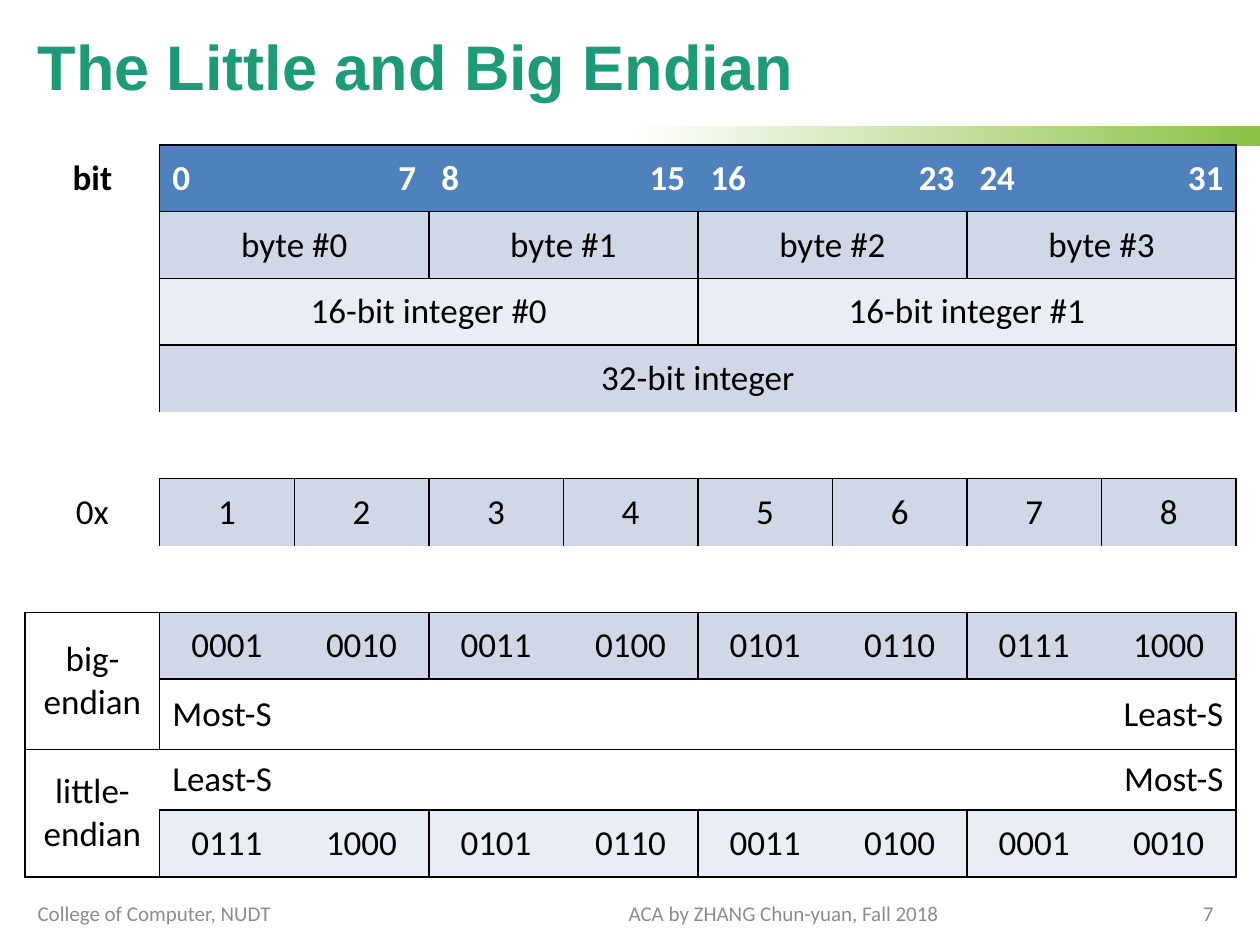
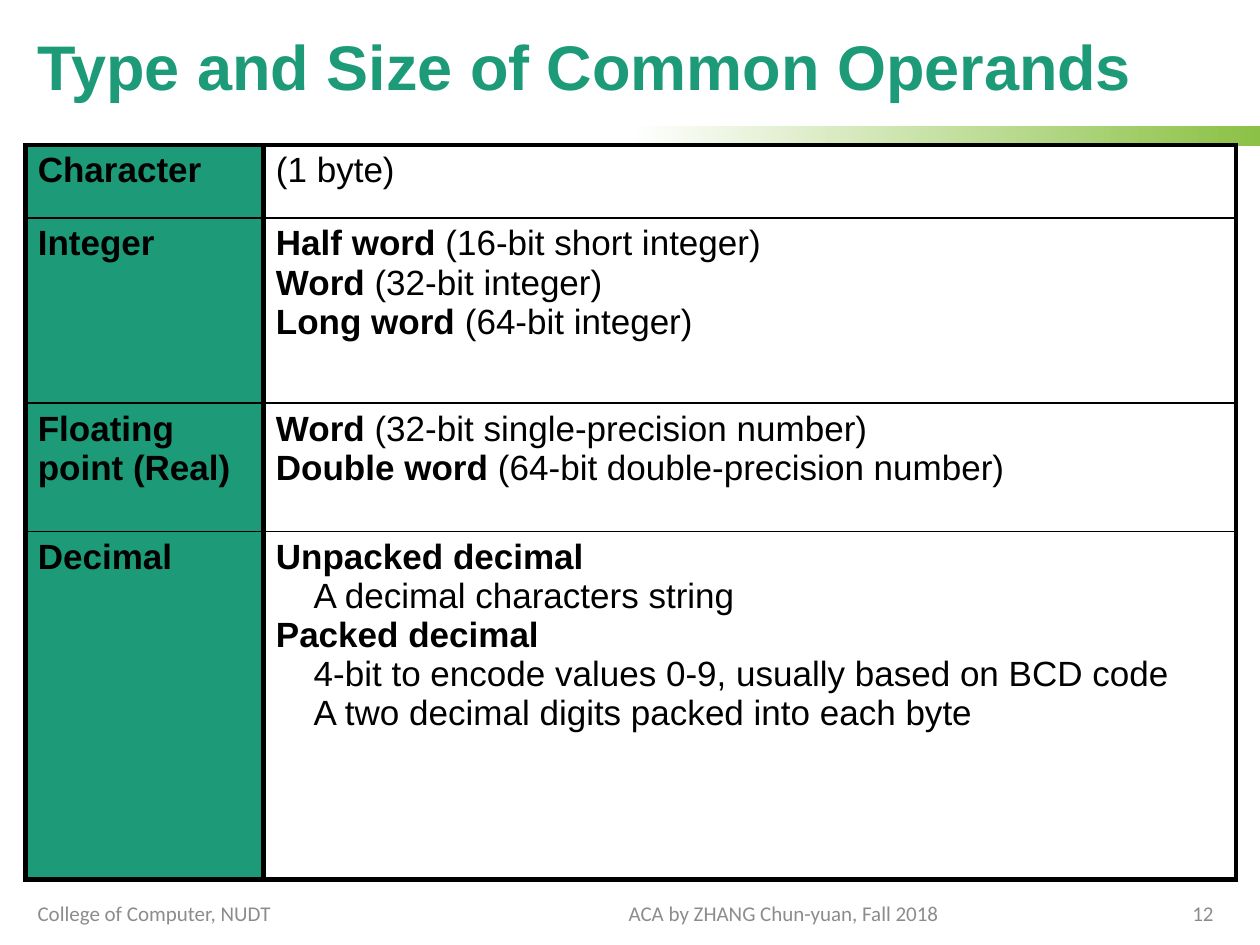
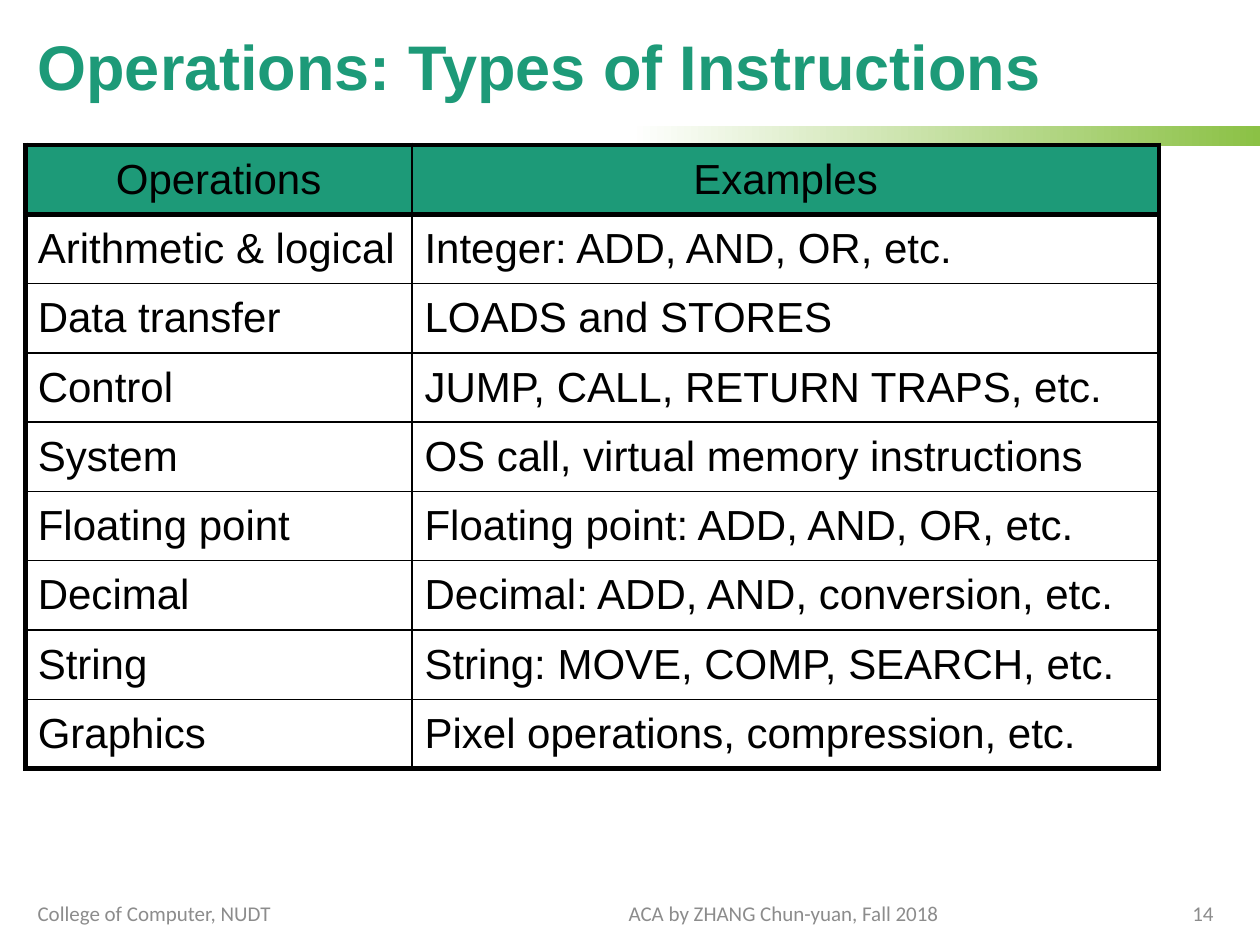
from lxml.etree import SubElement
from pptx import Presentation
from pptx.dml.color import RGBColor
from pptx.enum.shapes import MSO_SHAPE
from pptx.enum.text import MSO_ANCHOR as Anchor, PP_ALIGN as Align
from pptx.oxml.ns import qn
from pptx.util import Inches, Pt

GREEN, LIME, GREY = "1D9A78", "8BC145", "8C8C8C"
BLACK, WHITE, BLUE = "000000", "FFFFFF", "4F81BD"
DARK_BAND, LIGHT_BAND = "D0D8E8", "E9EDF4"
ALIGNS = {"l": Align.LEFT, "c": Align.CENTER, "r": Align.RIGHT}
THIN, THICK = 1, 3
LEFT, TABLE_TOP = 0.2, 1.15

FOOTER = [
    ("College of Computer, NUDT", 0.2, 3.77, "l"),
    ("ACA by ZHANG Chun-yuan, Fall 2018", 3.97, 4.5, "c"),
]

BIG_ENDIAN = [["0001", "0010"], ["0011", "0100"], ["0101", "0110"], ["0111", "1000"]]
ENDIAN_HEIGHTS = [0.53] * 8 + [0.56, 0.48, 0.53]
ENDIAN_ROWS = [
    ("bit", BLUE, "lr", "ltrb", [["0", "7", "8", "15", "16", "23", "24", "31"]]),
    ("", DARK_BAND, "c", "ltrb", [[f"byte #{number}"] for number in range(4)]),
    ("", LIGHT_BAND, "c", "ltrb", [[f"16-bit integer #{number}"] for number in range(2)]),
    ("", DARK_BAND, "c", "ltr", [["32-bit integer"]]),
    None,
    ("0x", DARK_BAND, "c", "ltr", [[digit] for digit in "12345678"]),
    None,
    ("big-endian", DARK_BAND, "c", "ltrb", BIG_ENDIAN),
    (None, WHITE, "lr", "trb", [["Most-S", "Least-S"]]),
    ("little-endian", WHITE, "lr", "trb", [["Least-S", "Most-S"]]),
    (None, LIGHT_BAND, "c", "ltrb", BIG_ENDIAN[::-1]),
]

OPERAND_HEIGHTS = [0.58, 1.47, 1.02, 2.76]
OPERAND_ROWS = [
    ("Character", [("", "(1 byte)")]),
    ("Integer", [
        ("Half word", " (16-bit short integer)"),
        ("Word", " (32-bit integer)"),
        ("Long word", " (64-bit integer)"),
    ]),
    ("Floating point (Real)", [
        ("Word", " (32-bit single-precision number)"),
        ("Double word", " (64-bit double-precision number)"),
    ]),
    ("Decimal", [
        ("Unpacked decimal", ""),
        ("", "A decimal characters string"),
        ("Packed decimal", ""),
        ("", "4-bit to encode values 0-9, usually based on BCD code"),
        ("", "A two decimal digits packed into each byte"),
    ]),
]

INSTRUCTION_ROWS = [
    ("Operations", "Examples"),
    ("Arithmetic & logical", "Integer: ADD, AND, OR, etc."),
    ("Data transfer", "LOADS and STORES"),
    ("Control", "JUMP, CALL, RETURN TRAPS, etc."),
    ("System", "OS call, virtual memory instructions"),
    ("Floating point", "Floating point: ADD, AND, OR, etc."),
    ("Decimal", "Decimal: ADD, AND, conversion, etc."),
    ("String", "String: MOVE, COMP, SEARCH, etc."),
    ("Graphics", "Pixel operations, compression, etc."),
]


def rgb(color):
    return RGBColor.from_string(color)


def add_run(paragraph, text, size, font, color=BLACK, bold=False):
    run = paragraph.add_run()
    run.text = text
    run.font.size, run.font.name, run.font.bold = Pt(size), font, bold
    run.font.color.rgb = rgb(color)


def add_text(slide, text, box, size, font, color, bold=False, align="l"):
    frame = slide.shapes.add_textbox(*map(Inches, box)).text_frame
    frame.word_wrap = True
    frame.vertical_anchor = Anchor.MIDDLE
    paragraph = frame.paragraphs[0]
    paragraph.alignment = ALIGNS[align]
    add_run(paragraph, text, size, font, color, bold)
    return paragraph


def add_slide(presentation, title, number):
    slide = presentation.slides.add_slide(presentation.slide_layouts[6])
    band = slide.shapes.add_shape(
        MSO_SHAPE.RECTANGLE, Inches(5), Inches(1), Inches(5), Inches(0.16))
    band.shadow.inherit = False
    band.line.fill.background()
    band.fill.gradient()
    band.fill.gradient_angle = 0
    for stop, color in zip(band.fill.gradient_stops, (WHITE, LIME)):
        stop.color.rgb = rgb(color)
    heading = add_text(slide, title, (LEFT, 0.13, 9.61, 0.86), 36, "Arial", GREEN, True)
    heading.line_spacing = 0.9
    for text, left, width, align in FOOTER + [(str(number), 8.7, 1.03, "r")]:
        add_text(slide, text, (left, 7.14, width, 0.21), 12, "Calibri", GREY, align=align)
    return slide


def add_table(slide, widths, heights):
    table = slide.shapes.add_table(
        len(heights), len(widths), Inches(LEFT), Inches(TABLE_TOP),
        Inches(sum(widths)), Inches(sum(heights))).table
    table.first_row = table.horz_banding = False
    for column, width in zip(table.columns, widths):
        column.width = Inches(width)
    for row, height in zip(table.rows, heights):
        row.height = Inches(height)
    return table


def style_cell(cell, fill, borders, anchor=Anchor.MIDDLE):
    properties = cell._tc.get_or_add_tcPr()
    for side in "lrtb":
        width = borders.get(side, 0)
        line = SubElement(properties, qn(f"a:ln{side.upper()}"), w=str(Pt(width)))
        if width:
            SubElement(SubElement(line, qn("a:solidFill")), qn("a:srgbClr"), val=BLACK)
        else:
            SubElement(line, qn("a:noFill"))
    cell.fill.solid()
    cell.fill.fore_color.rgb = rgb(fill)
    cell.vertical_anchor = anchor


def frame_borders(row, column, row_count, header=THIN, divider=THIN):
    return {
        "l": THICK if column == 0 else divider,
        "r": THICK if column == 1 else divider,
        "t": THICK if row == 0 else header if row == 1 else THIN,
        "b": THICK if row == row_count - 1 else header if row == 0 else THIN,
    }


def fill_block(table, row, column, rows, columns, text, fill, sides, align="c",
               color=BLACK, bold=False):
    for r in range(row, row + rows):
        for c in range(column, column + columns):
            style_cell(table.cell(r, c), fill, dict.fromkeys(sides, THIN))
    cell = table.cell(row, column)
    if rows * columns > 1:
        cell.merge(table.cell(row + rows - 1, column + columns - 1))
    if text:
        paragraph = cell.text_frame.paragraphs[0]
        paragraph.alignment = ALIGNS[align]
        add_run(paragraph, text, 20, "Calibri", color, bold)


def build_endian(presentation):
    slide = add_slide(presentation, "The Little and Big Endian", 7)
    table = add_table(slide, [9.61 / 9] * 9, ENDIAN_HEIGHTS)
    for row, content in enumerate(ENDIAN_ROWS):
        if content is None:
            following = ENDIAN_ROWS[row + 1][0]
            fill_block(table, row, 0, 1, 9, "", WHITE, "b" if "endian" in following else "")
            continue
        label, fill, aligns, sides, groups = content
        header = row == 0
        if label is not None:
            paired = "endian" in label
            fill_block(table, row, 0, 2 if paired else 1, 1, label, WHITE,
                       "ltb" if paired else "r", bold=header)
        span = 8 // sum(map(len, groups))
        column = 1
        for group in groups:
            for index, text in enumerate(group):
                hidden = ("l" if index else "") + ("r" if index < len(group) - 1 else "")
                fill_block(table, row, column, 1, span, text, fill,
                           [side for side in sides if side not in hidden],
                           aligns[index % len(aligns)], WHITE if header else BLACK, header)
                column += span


def build_operands(presentation):
    slide = add_slide(presentation, "Type and Size of Common Operands", 12)
    table = add_table(slide, [1.89, 7.72], OPERAND_HEIGHTS)
    for row, (kind, details) in enumerate(OPERAND_ROWS):
        for column, lines in enumerate(([(kind, "")], details)):
            cell = table.cell(row, column)
            style_cell(cell, WHITE if column else GREEN,
                       frame_borders(row, column, len(OPERAND_ROWS), divider=THICK), Anchor.TOP)
            frame = cell.text_frame
            for index, (term, note) in enumerate(lines):
                paragraph = frame.add_paragraph() if index else frame.paragraphs[0]
                if index and not term:
                    paragraph._p.get_or_add_pPr().set("marL", str(Inches(0.3)))
                for text, bold in ((term, True), (note, False)):
                    if text:
                        add_run(paragraph, text, 20, "Arial", bold=bold)


def build_instructions(presentation):
    slide = add_slide(presentation, "Operations: Types of Instructions", 14)
    table = add_table(slide, [3.07, 5.93], [0.55] * len(INSTRUCTION_ROWS))
    for row, texts in enumerate(INSTRUCTION_ROWS):
        for column, text in enumerate(texts):
            cell = table.cell(row, column)
            style_cell(cell, WHITE if row else GREEN,
                       frame_borders(row, column, len(INSTRUCTION_ROWS), header=THICK))
            paragraph = cell.text_frame.paragraphs[0]
            paragraph.alignment = ALIGNS["l" if row else "c"]
            add_run(paragraph, text, 24, "Arial")


def main():
    presentation = Presentation()
    presentation.slide_width, presentation.slide_height = Inches(10), Inches(7.5)
    build_endian(presentation)
    build_operands(presentation)
    build_instructions(presentation)
    presentation.save("out.pptx")


if __name__ == "__main__":
    main()
